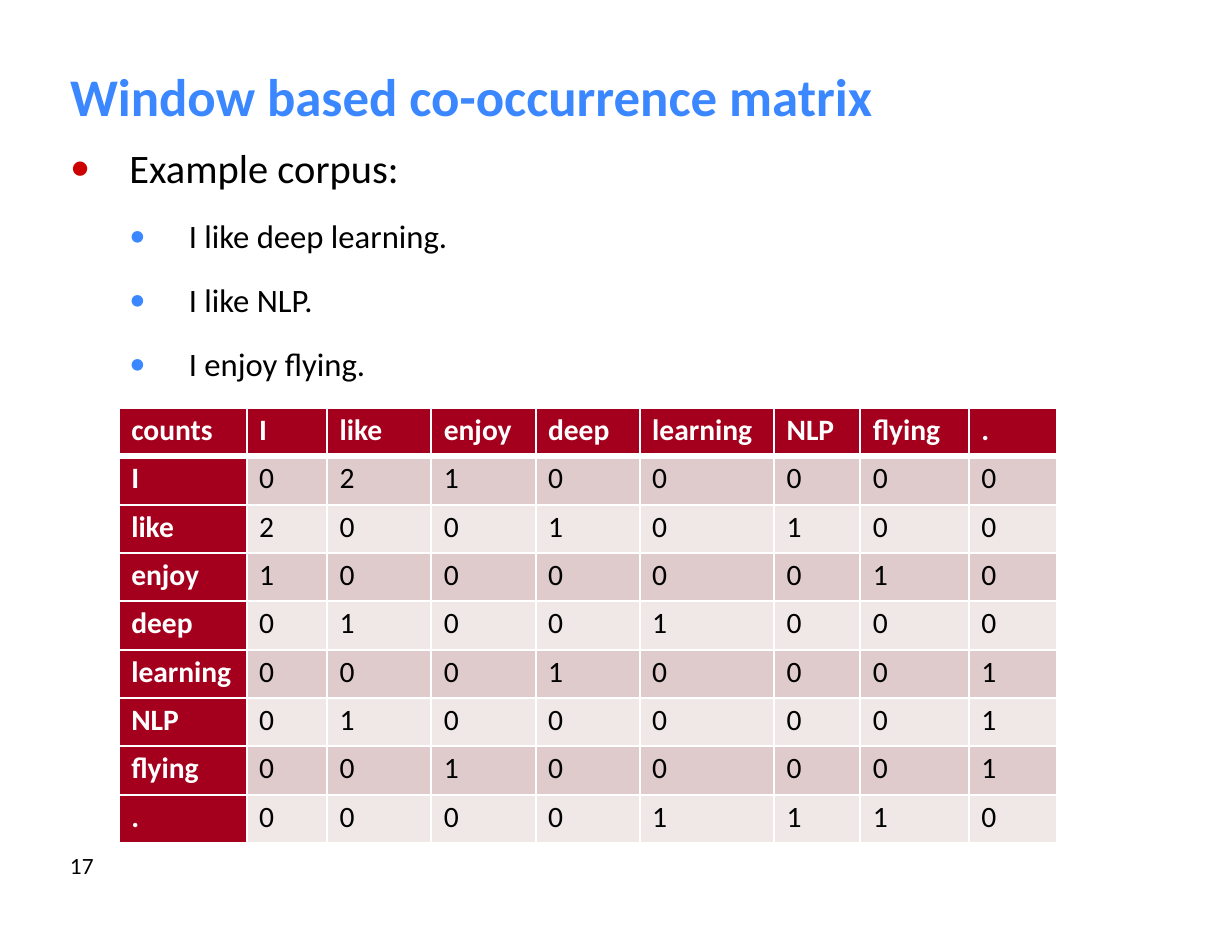
from dataclasses import dataclass

from lxml.etree import SubElement
from pptx import Presentation
from pptx.dml.color import RGBColor
from pptx.enum.text import MSO_ANCHOR, MSO_AUTO_SIZE, PP_ALIGN
from pptx.oxml.ns import qn
from pptx.util import Pt


@dataclass(frozen=True)
class Theme:
    font: str = "Calibri"
    blue: str = "3A87FF"
    red: str = "CC0000"
    dark: str = "A4001D"
    odd: str = "E0CBCC"
    even: str = "F0E7E7"
    black: str = "000000"
    white: str = "FFFFFF"
    title: float = 34
    body: float = 26
    item: float = 21
    cell: float = 19
    page: float = 15
    thin: float = 1.5
    thick: float = 4.25


THEME = Theme()
LINES = ["I like deep learning.", "I like NLP.", "I enjoy flying."]
WORDS = ["I", "like", "enjoy", "deep", "learning", "NLP", "flying", "."]
COUNTS = ["02100000", "20010100", "10000010", "01001000",
          "00010001", "01000001", "00100001", "00001110"]
WIDTHS = [82.2, 51.8, 67, 67, 67, 86.4, 55.4, 69.8, 56.8]


def style(para, size, color, bold=False):
    font = para.font
    font.name = THEME.font
    font.size = Pt(size)
    font.bold = bold
    font.color.rgb = RGBColor.from_string(color)


def place(shape, box, top=0):
    shape.left, shape.top, shape.width, shape.height = map(Pt, box)
    frame = shape.text_frame
    frame.margin_left = frame.margin_right = frame.margin_bottom = 0
    frame.margin_top = Pt(top)
    frame.vertical_anchor = MSO_ANCHOR.TOP
    frame.auto_size = MSO_AUTO_SIZE.NONE
    frame.word_wrap = True
    return frame


def bullet(para, left, color):
    props = para._p.get_or_add_pPr()
    props.set("marL", str(Pt(left)))
    props.set("indent", str(Pt(-38.2)))
    tint = SubElement(props, qn("a:buClr"))
    SubElement(tint, qn("a:srgbClr"), val=color)
    SubElement(props, qn("a:buFont"), typeface=THEME.font)
    SubElement(props, qn("a:buChar"), char="•")


def add_title(slide, box):
    para = place(slide.shapes.title, box, 1.7).paragraphs[0]
    para.text = "Window based co-occurrence matrix"
    para.alignment = PP_ALIGN.LEFT
    style(para, THEME.title, THEME.blue, True)


def add_list(slide, box):
    frame = place(slide.placeholders[1], box, 1.7)
    head = frame.paragraphs[0]
    head.text = "Example corpus:"
    head.space_before = Pt(0)
    bullet(head, 38.2, THEME.red)
    style(head, THEME.body, THEME.black)
    for line in LINES:
        para = frame.add_paragraph()
        para.text = line
        para.level = 1
        para.space_before = Pt(16)
        bullet(para, 76.4, THEME.blue)
        style(para, THEME.item, THEME.black)


def add_edge(cell, side, width):
    line = SubElement(cell._tc.get_or_add_tcPr(), qn("a:ln" + side),
                      w=str(Pt(width)))
    fill = SubElement(line, qn("a:solidFill"))
    SubElement(fill, qn("a:srgbClr"), val=THEME.white)


def fill_cell(cell, text, row, col):
    head = row == 0 or col == 0
    cell.margin_left = Pt(8)
    cell.margin_top = Pt(2.9)
    cell.margin_right = cell.margin_bottom = 0
    for side in "LRTB":
        heavy = (row, side) in ((0, "B"), (1, "T"))
        add_edge(cell, side, THEME.thick if heavy else THEME.thin)
    band = THEME.odd if row % 2 else THEME.even
    cell.fill.solid()
    cell.fill.fore_color.rgb = RGBColor.from_string(
        THEME.dark if head else band)
    para = cell.text_frame.paragraphs[0]
    para.text = text
    style(para, THEME.cell, THEME.white if head else THEME.black, head)


def add_matrix(slide, box):
    rows = [["counts", *WORDS]]
    rows += [[word, *marks] for word, marks in zip(WORDS, COUNTS)]
    grid = slide.shapes.add_table(len(rows), len(WIDTHS), *map(Pt, box)).table
    grid.first_col = True
    grid.horz_banding = False
    for col, width in zip(grid.columns, WIDTHS):
        col.width = Pt(width)
    for r, row in enumerate(rows):
        grid.rows[r].height = Pt(box[3] / len(rows))
        for c, text in enumerate(row):
            fill_cell(grid.cell(r, c), text, r, c)


def add_page(slide, box):
    para = place(slide.shapes.add_textbox(0, 0, 0, 0), box).paragraphs[0]
    para.text = "17"
    style(para, THEME.page, THEME.black)


def main():
    deck = Presentation()
    deck.slide_width, deck.slide_height = Pt(792), Pt(612)
    slide = deck.slides.add_slide(deck.slide_layouts[1])
    add_title(slide, (45, 39, 522, 42.5))
    add_list(slide, (45, 90, 248, 158))
    add_matrix(slide, (76.4, 262.2, 603.4, 280))
    add_page(slide, (45, 547.2, 20, 20))
    deck.save("out.pptx")


if __name__ == "__main__":
    main()
